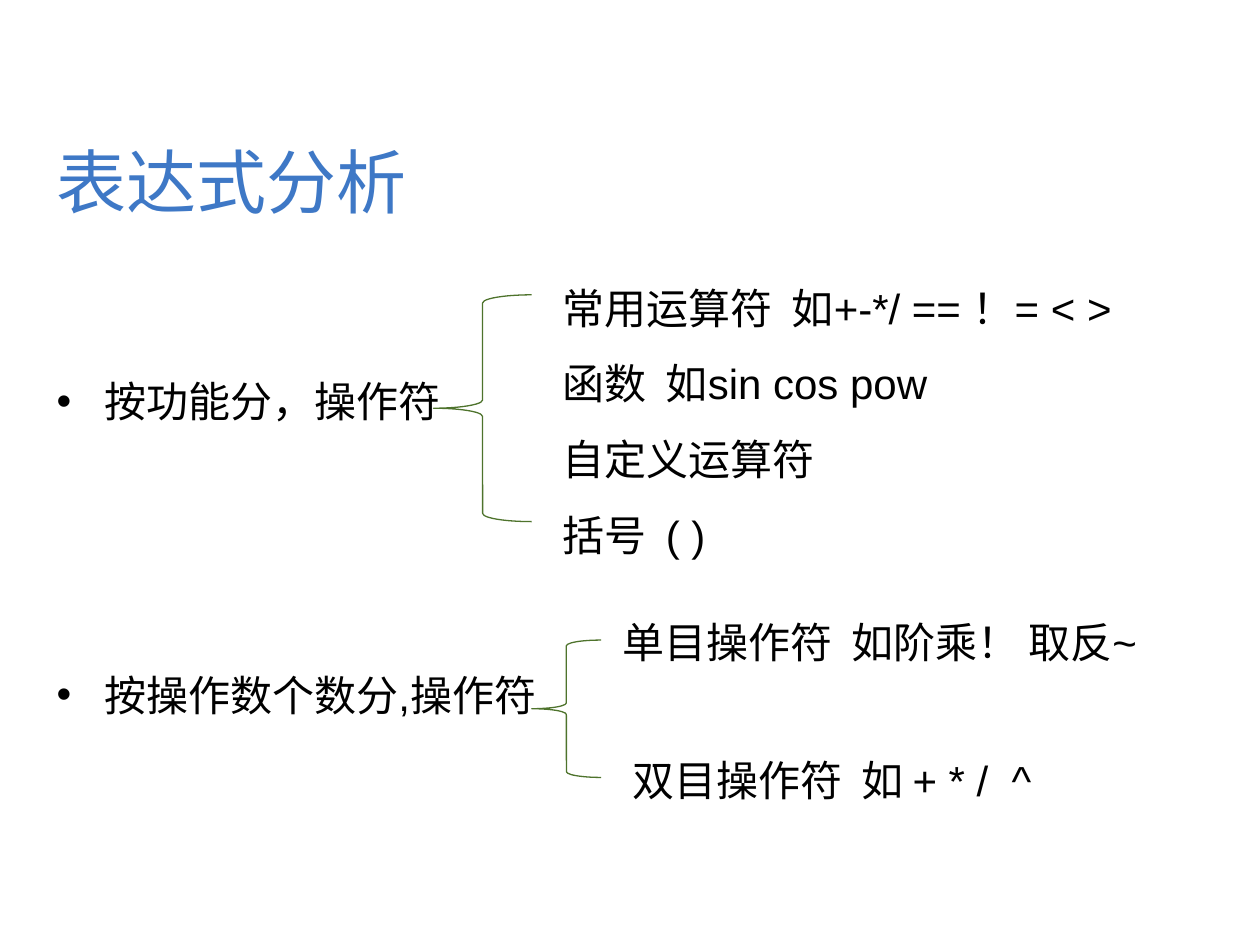
"""Build a slide that sorts expression operators by function and by operand count."""
from lxml import etree
from pptx import Presentation
from pptx.dml.color import RGBColor
from pptx.enum.shapes import MSO_SHAPE
from pptx.enum.text import MSO_ANCHOR
from pptx.oxml.ns import qn
from pptx.util import Inches, Pt

LEFT_BRACE = MSO_SHAPE.LEFT_BRACE
MIDDLE = MSO_ANCHOR.MIDDLE
BLANK_LAYOUT = 6


def rgb(value):
    return RGBColor.from_string(value)


class OperatorSlide:
    font_name = "Arial"
    title_color = "3E78C6"
    text_color = "000000"
    brace_color = "4E732C"
    margin = 0.35
    content_width = 9.29
    line_height = 0.5
    bullet_indent = 0.38

    def __init__(self, deck):
        self.slide = deck.slides.add_slide(deck.slide_layouts[BLANK_LAYOUT])

    def text(self, wording, left, top, width, height=line_height, size=24, color=text_color):
        box = self.slide.shapes.add_textbox(
            Inches(left), Inches(top), Inches(width), Inches(height))
        frame = box.text_frame
        for name, value in {"word_wrap": True, "vertical_anchor": MIDDLE}.items():
            setattr(frame, name, value)
        paragraph = frame.paragraphs[0]
        run = paragraph.add_run()
        run.text = wording
        for name, value in {"name": self.font_name, "size": Pt(size)}.items():
            setattr(run.font, name, value)
        run.font.color.rgb = rgb(color)
        return paragraph

    def title(self, wording):
        self.text(wording, self.margin, 0.94, self.content_width, 0.98, 40, self.title_color)

    def bullet(self, wording, top):
        paragraph = self.text(wording, self.margin, top, self.content_width)
        properties = paragraph._p.get_or_add_pPr()
        indent = Inches(self.bullet_indent)
        for name, value in {"marL": indent, "indent": -indent}.items():
            properties.set(name, str(value))
        etree.SubElement(properties, qn("a:buFont")).set("typeface", self.font_name)
        etree.SubElement(properties, qn("a:buChar")).set("char", "•")

    def brace(self, left, top, width, height):
        brace = self.slide.shapes.add_shape(
            LEFT_BRACE, Inches(left), Inches(top), Inches(width), Inches(height))
        brace.shadow.inherit = False
        brace.fill.background()
        brace.line.color.rgb = rgb(self.brace_color)
        brace.line.width = Pt(0.75)


def main():
    deck = Presentation()
    deck.slide_width, deck.slide_height = Inches(10), Inches(7.5)
    page = OperatorSlide(deck)
    page.title("表达式分析")

    page.bullet("按功能分，操作符", 2.93)
    page.brace(3.44, 2.34, 0.78, 1.8)
    functions = [
        "常用运算符  如+-*/ == ！= < >",
        "函数  如sin cos pow",
        "自定义运算符",
        "括号  ( )",
    ]
    for row, function in enumerate(functions):
        page.text(function, 4.37, 2.19 + 0.6 * row, 5.23)

    page.bullet("按操作数个数分,操作符", 5.26)
    page.brace(4.22, 5.08, 0.55, 1.09)
    page.text("单目操作符  如阶乘！ 取反~", 4.84, 4.84, 4.61)
    page.text("双目操作符  如 + * /  ^", 4.92, 5.94, 4.22)

    deck.save("out.pptx")


if __name__ == "__main__":
    main()
